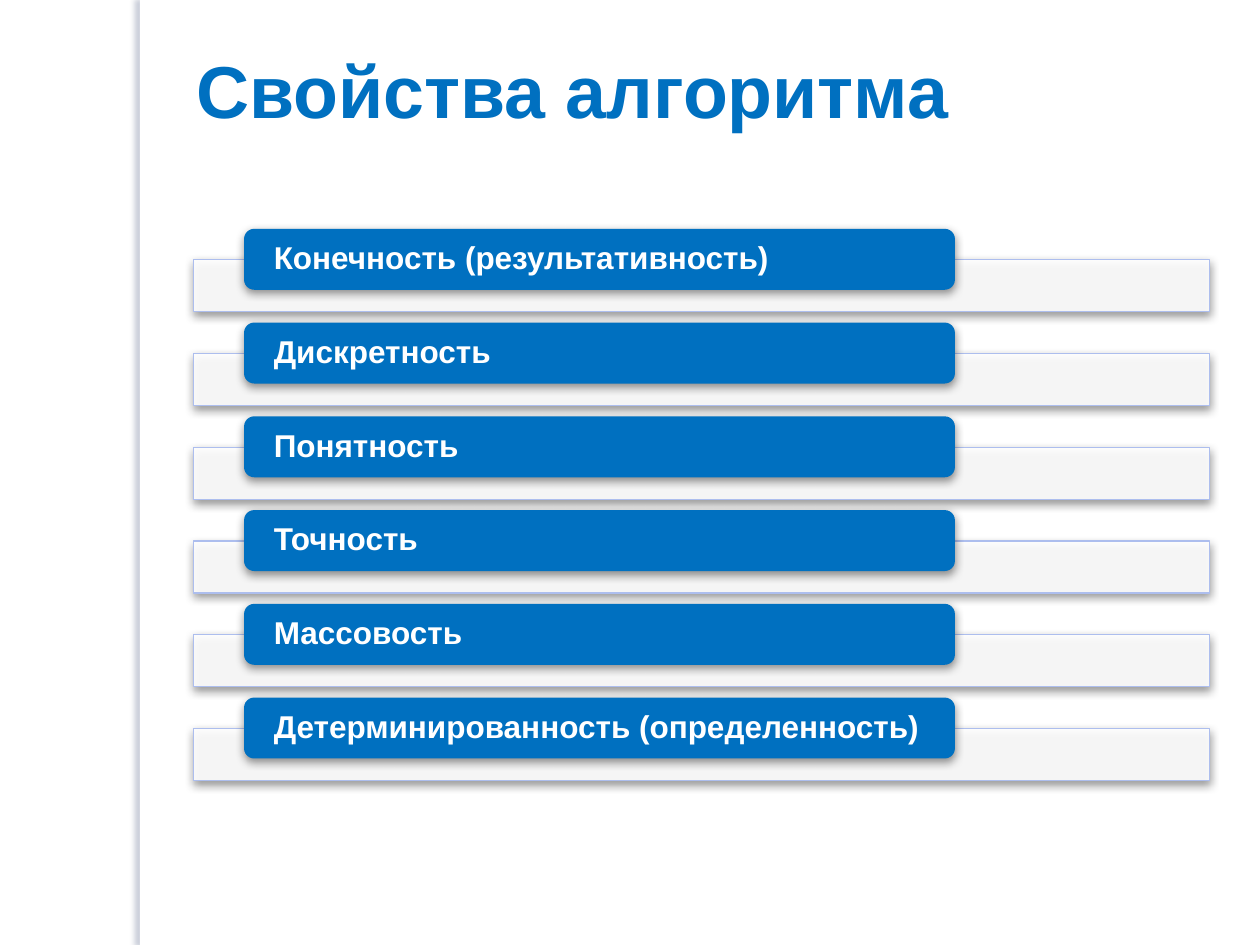
from dataclasses import dataclass
from typing import Optional

from lxml.etree import SubElement
from pptx import Presentation
from pptx.dml.color import RGBColor
from pptx.enum.shapes import MSO_SHAPE as Shape
from pptx.enum.text import MSO_ANCHOR as Anchor, PP_ALIGN as Align
from pptx.oxml.ns import qn
from pptx.util import Pt


@dataclass(frozen=True)
class Shadow:
    color: str
    alpha: int
    blur: float
    dist: float
    angle: int


@dataclass(frozen=True)
class Theme:
    font: str = "Arial"
    title_size: int = 42
    label_size: int = 18
    accent: str = "0070C0"
    white: str = "FFFFFF"
    bar_line: str = "ADBEEE"
    bar_alpha: int = 90
    panel_shadow: Shadow = Shadow("384873", 25, 3, 3, 180)
    item_shadow: Shadow = Shadow("000000", 43, 5, 2, 90)


@dataclass(frozen=True)
class Box:
    x: float
    y: float
    w: float
    h: float

    def down(self, dy: float) -> "Box":
        return Box(self.x, self.y + dy, self.w, self.h)

    def emu(self) -> tuple:
        return Pt(self.x), Pt(self.y), Pt(self.w), Pt(self.h)


THEME = Theme()
PANEL = Box(79.9, 0, 5.8, 540)
TITLE = Box(105.1, -2.9, 561.6, 108)
BAR = Box(110.6, 148.4, 580.4, 29.8)
PILL = Box(139.5, 130.8, 406.2, 34.8)
PITCH = 53.57
PROPERTIES = [
    "Конечность (результативность)",
    "Дискретность",
    "Понятность",
    "Точность",
    "Массовость",
    "Детерминированность (определенность)",
]


def add_alpha(color, percent: int) -> None:
    SubElement(color, qn("a:alpha"), val=str(percent * 1000))


def add_shadow(sp, shadow: Shadow) -> None:
    sp.shadow.inherit = False
    effects = sp._element.spPr.find(qn("a:effectLst"))
    outer = SubElement(
        effects, qn("a:outerShdw"), blurRad=str(Pt(shadow.blur)),
        dist=str(Pt(shadow.dist)), dir=str(shadow.angle * 60000),
        algn="ctr", rotWithShape="0")
    color = SubElement(outer, qn("a:srgbClr"), val=shadow.color)
    add_alpha(color, shadow.alpha)


def draw_shape(slide, kind: Shape, box: Box, fill: str, shadow: Shadow,
               line: Optional[str] = None, alpha: int = 100):
    sp = slide.shapes.add_shape(kind, *box.emu())
    sp.fill.solid()
    sp.fill.fore_color.rgb = RGBColor.from_string(fill)
    if alpha < 100:
        add_alpha(sp._element.spPr.find(".//" + qn("a:srgbClr")), alpha)
    if line:
        sp.line.color.rgb = RGBColor.from_string(line)
        sp.line.width = Pt(0.75)
    else:
        sp.line.fill.background()
    add_shadow(sp, shadow)
    return sp


def set_text(sp, text: str, size: int, color: str, inset_x: float, inset_y: float):
    tf = sp.text_frame
    tf.word_wrap = True
    tf.vertical_anchor = Anchor.MIDDLE
    tf.margin_left = tf.margin_right = Pt(inset_x)
    tf.margin_top = tf.margin_bottom = Pt(inset_y)
    p = tf.paragraphs[0]
    p.text = text
    p.alignment = Align.LEFT
    font = p.runs[0].font
    font.name = THEME.font
    font.size = Pt(size)
    font.bold = True
    font.color.rgb = RGBColor.from_string(color)
    return p


def draw_property(slide, text: str, dy: float) -> None:
    draw_shape(slide, Shape.RECTANGLE, BAR.down(dy), THEME.white,
               THEME.item_shadow, THEME.bar_line, THEME.bar_alpha)
    pill = draw_shape(slide, Shape.ROUNDED_RECTANGLE, PILL.down(dy),
                      THEME.accent, THEME.item_shadow)
    p = set_text(pill, text, THEME.label_size, THEME.white, 15.3, 0)
    p.line_spacing = 0.9


def main() -> None:
    prs = Presentation()
    prs.slide_width, prs.slide_height = Pt(720), Pt(540)
    slide = prs.slides.add_slide(prs.slide_layouts[6])
    draw_shape(slide, Shape.RECTANGLE, PANEL, THEME.white, THEME.panel_shadow)
    title = slide.shapes.add_textbox(*TITLE.emu())
    set_text(title, "Свойства алгоритма", THEME.title_size, THEME.accent, 7.2, 3.6)
    for i, text in enumerate(PROPERTIES):
        draw_property(slide, text, i * PITCH)
    prs.save("out.pptx")


if __name__ == "__main__":
    main()
